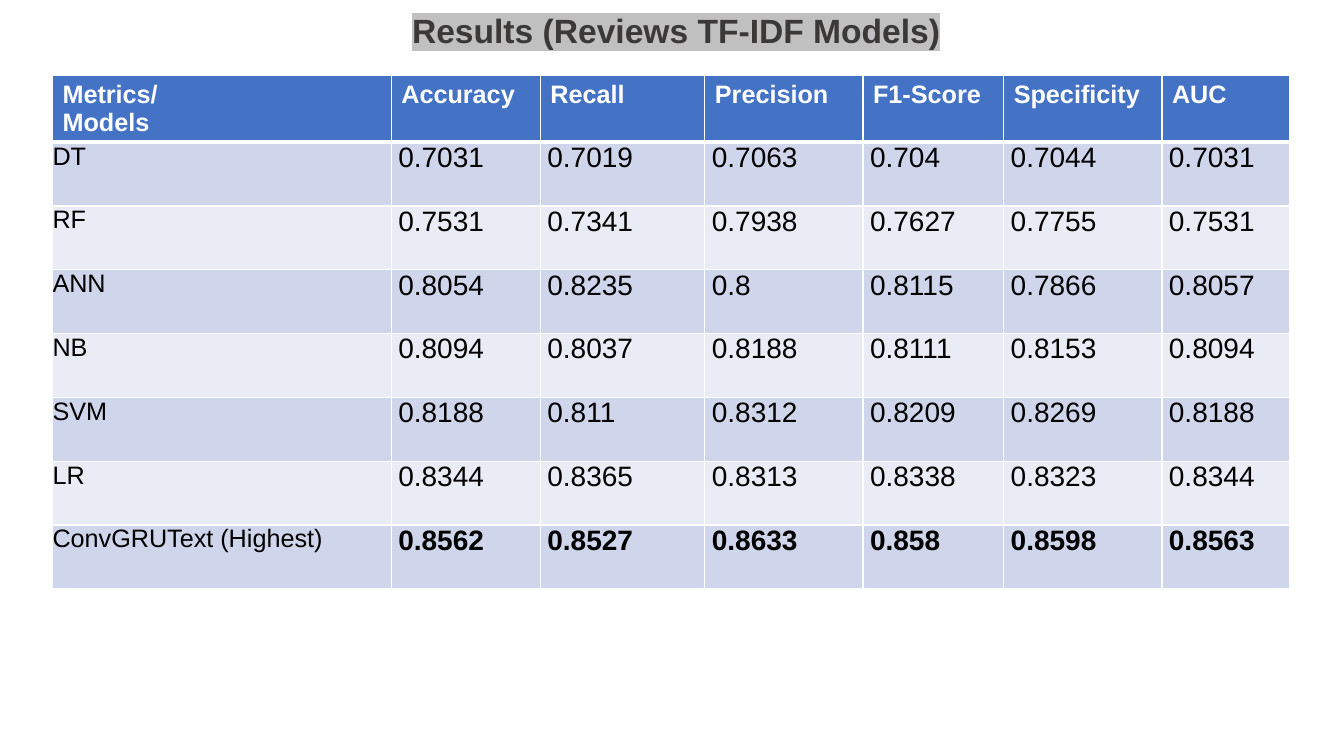
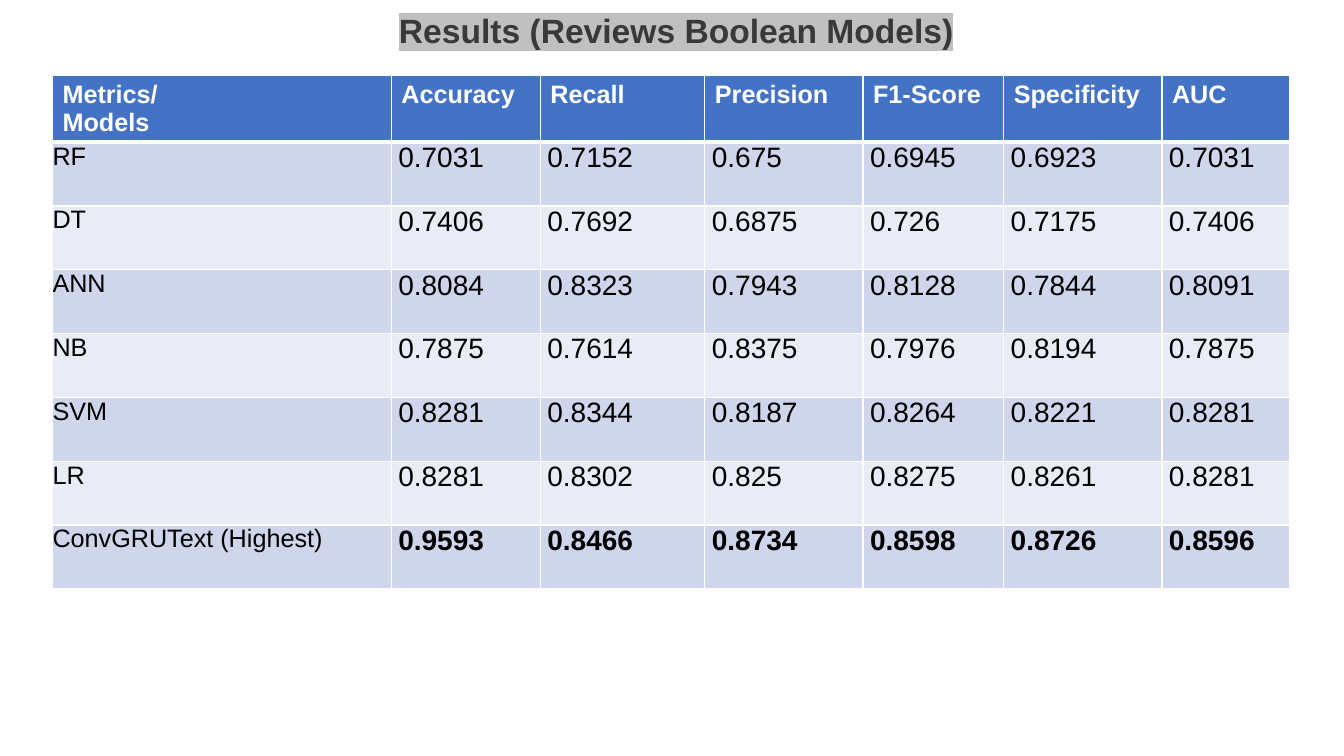
from lxml import etree
from pptx import Presentation
from pptx.dml.color import RGBColor
from pptx.enum.text import MSO_ANCHOR, PP_ALIGN
from pptx.oxml.ns import qn
from pptx.util import Pt

TOP = MSO_ANCHOR.TOP
LEFT, CENTER, JUSTIFY = PP_ALIGN.LEFT, PP_ALIGN.CENTER, PP_ALIGN.JUSTIFY

FONT = "Arial"
TITLE_COLOR = RGBColor(0x3B, 0x38, 0x38)
HIGHLIGHT = RGBColor(0xC0, 0xC0, 0xC0)
HEADER_FILL = RGBColor(0x44, 0x72, 0xC4)
BAND_FILLS = (RGBColor(0xE9, 0xEB, 0xF5), RGBColor(0xCF, 0xD5, 0xEA))
WHITE = RGBColor(0xFF, 0xFF, 0xFF)
BLACK = RGBColor(0x00, 0x00, 0x00)

TITLE_ONLY_LAYOUT = 5
COLUMN_WIDTHS = (242, 106.5, 117.5, 113, 100.5, 113, 91.5)
ROW_HEIGHT = 45.6
HEADERS = ("Metrics/\nModels", "Accuracy", "Recall", "Precision",
           "F1-Score", "Specificity", "AUC")

RESULTS = {
    "Results (Reviews TF-IDF Models)": (
        ("DT", "0.7031", "0.7019", "0.7063", "0.704", "0.7044", "0.7031"),
        ("RF", "0.7531", "0.7341", "0.7938", "0.7627", "0.7755", "0.7531"),
        ("ANN", "0.8054", "0.8235", "0.8", "0.8115", "0.7866", "0.8057"),
        ("NB", "0.8094", "0.8037", "0.8188", "0.8111", "0.8153", "0.8094"),
        ("SVM", "0.8188", "0.811", "0.8312", "0.8209", "0.8269", "0.8188"),
        ("LR", "0.8344", "0.8365", "0.8313", "0.8338", "0.8323", "0.8344"),
        ("ConvGRUText (Highest)", "0.8562", "0.8527", "0.8633", "0.858",
         "0.8598", "0.8563"),
    ),
    "Results (Reviews Boolean Models)": (
        ("RF", "0.7031", "0.7152", "0.675", "0.6945", "0.6923", "0.7031"),
        ("DT", "0.7406", "0.7692", "0.6875", "0.726", "0.7175", "0.7406"),
        ("ANN", "0.8084", "0.8323", "0.7943", "0.8128", "0.7844", "0.8091"),
        ("NB", "0.7875", "0.7614", "0.8375", "0.7976", "0.8194", "0.7875"),
        ("SVM", "0.8281", "0.8344", "0.8187", "0.8264", "0.8221", "0.8281"),
        ("LR", "0.8281", "0.8302", "0.825", "0.8275", "0.8261", "0.8281"),
        ("ConvGRUText (Highest)", "0.9593", "0.8466", "0.8734", "0.8598",
         "0.8726", "0.8596"),
    ),
}


def format_text(text_frame, size, color, bold, alignment, space_after=0):
    for paragraph in text_frame.paragraphs:
        paragraph.alignment = alignment
        paragraph.space_after = Pt(space_after)
        for run in paragraph.runs:
            run.font.name = FONT
            run.font.size = Pt(size)
            run.font.bold = bold
            run.font.color.rgb = color


def highlight_run(run):
    highlight = etree.Element(qn("a:highlight"))
    etree.SubElement(highlight, qn("a:srgbClr"), val=str(HIGHLIGHT))
    run.font.fill
    run._r.rPr.find(qn("a:solidFill")).addnext(highlight)


def set_title(slide, text):
    title = slide.shapes.title
    title.left, title.top = Pt(24), Pt(7)
    title.width, title.height = Pt(918), Pt(28)
    text_frame = title.text_frame
    text_frame.text = text
    text_frame.vertical_anchor = TOP
    text_frame.margin_top = text_frame.margin_bottom = 0
    format_text(text_frame, 24, TITLE_COLOR, True, CENTER)
    highlight_run(text_frame.paragraphs[0].runs[0])


def set_borders(cell, top, bottom):
    properties = cell._tc.get_or_add_tcPr()
    for side, width in (("L", 1), ("R", 1), ("T", top), ("B", bottom)):
        line = etree.SubElement(properties, qn(f"a:ln{side}"), w=str(Pt(width)))
        fill = etree.SubElement(line, qn("a:solidFill"))
        etree.SubElement(fill, qn("a:srgbClr"), val=str(WHITE))


def fill_cell(cell, color):
    cell.fill.solid()
    cell.fill.fore_color.rgb = color


def format_header_cell(cell, text):
    cell.text_frame.text = text
    set_borders(cell, 1, 3)
    fill_cell(cell, HEADER_FILL)
    format_text(cell.text_frame, 18, WHITE, True, LEFT)


def format_body_cell(cell, text, row, is_label, is_best):
    cell.text_frame.text = text
    cell.margin_top = cell.margin_bottom = 0
    cell.margin_left = cell.margin_right = Pt(0 if is_label else 5)
    set_borders(cell, 3 if row == 1 else 1, 1)
    fill_cell(cell, BAND_FILLS[row % 2])
    size = 18 if is_label else 20
    format_text(cell.text_frame, size, BLACK, is_best and not is_label, JUSTIFY, 6)


def add_results_table(slide, results):
    row_count = len(results) + 1
    table = slide.shapes.add_table(
        row_count, len(HEADERS), Pt(37.5), Pt(54),
        Pt(sum(COLUMN_WIDTHS)), Pt(ROW_HEIGHT * row_count)).table
    for column, width in zip(table.columns, COLUMN_WIDTHS):
        column.width = Pt(width)
    for row in table.rows:
        row.height = Pt(ROW_HEIGHT)
    for column_index, header in enumerate(HEADERS):
        format_header_cell(table.cell(0, column_index), header)
    for row_index, values in enumerate(results, start=1):
        for column_index, value in enumerate(values):
            format_body_cell(table.cell(row_index, column_index), value, row_index,
                             column_index == 0, row_index == len(results))


def main():
    presentation = Presentation()
    presentation.slide_width, presentation.slide_height = Pt(960), Pt(540)
    layout = presentation.slide_layouts[TITLE_ONLY_LAYOUT]
    for title, results in RESULTS.items():
        slide = presentation.slides.add_slide(layout)
        set_title(slide, title)
        add_results_table(slide, results)
    presentation.save("out.pptx")


if __name__ == "__main__":
    main()
